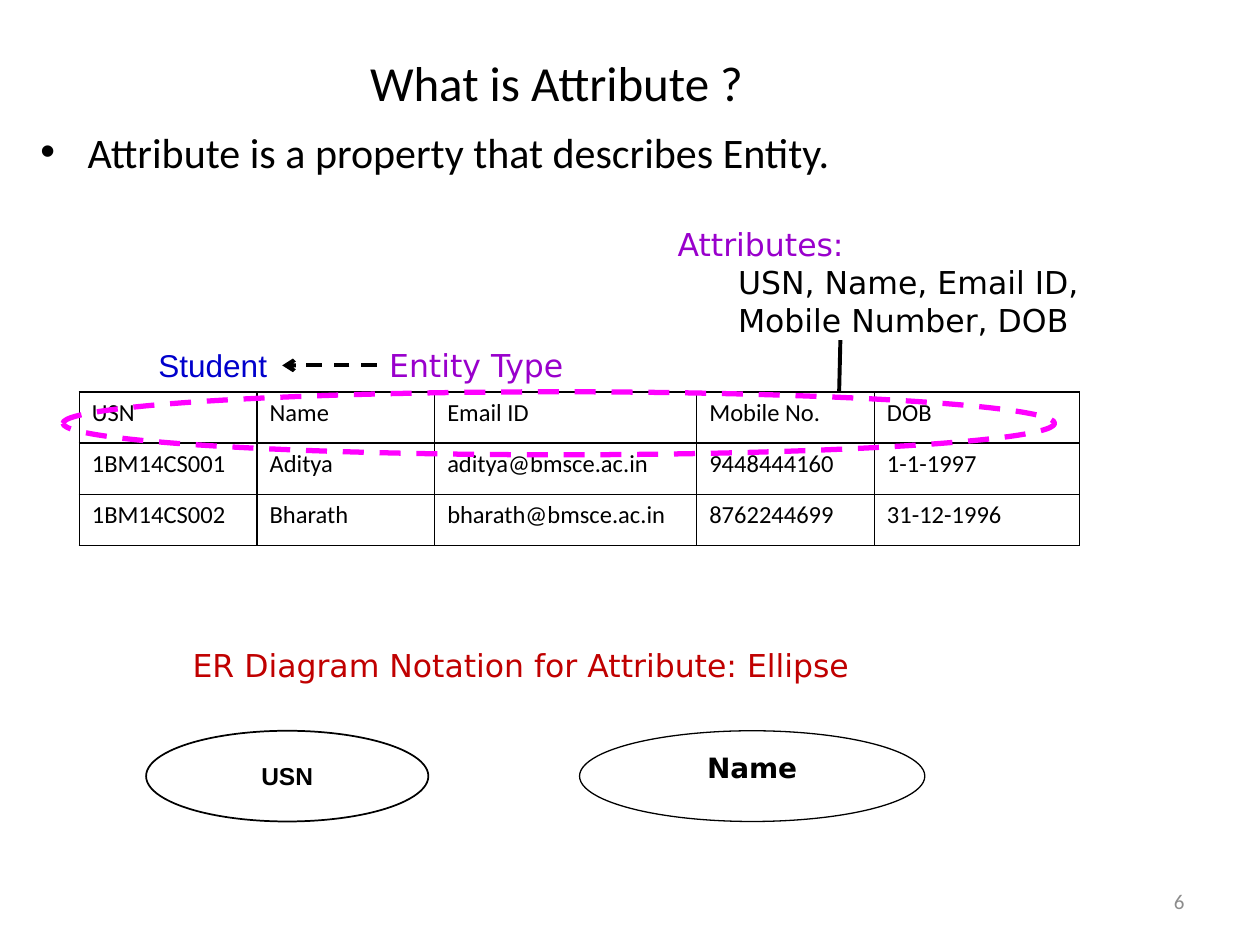
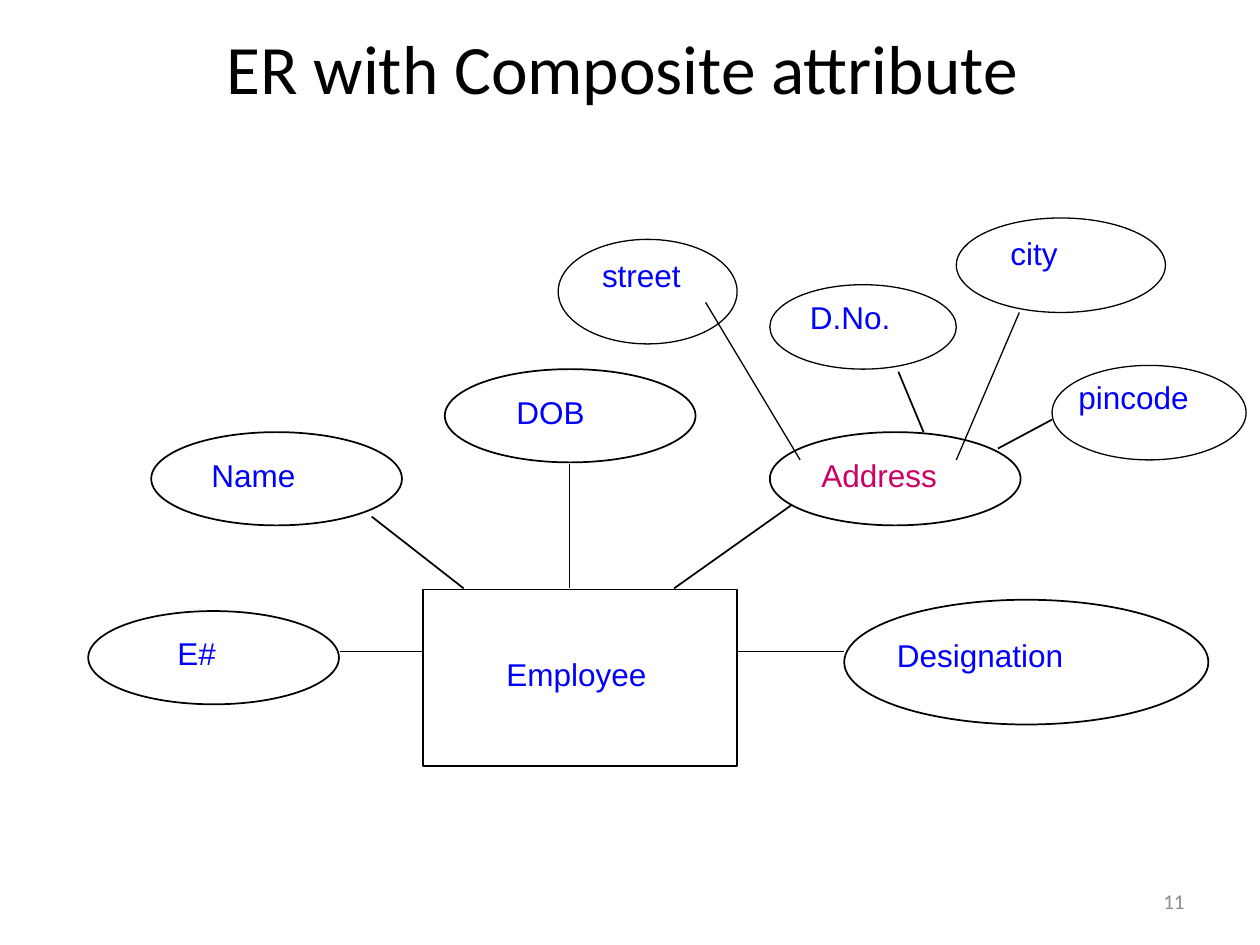
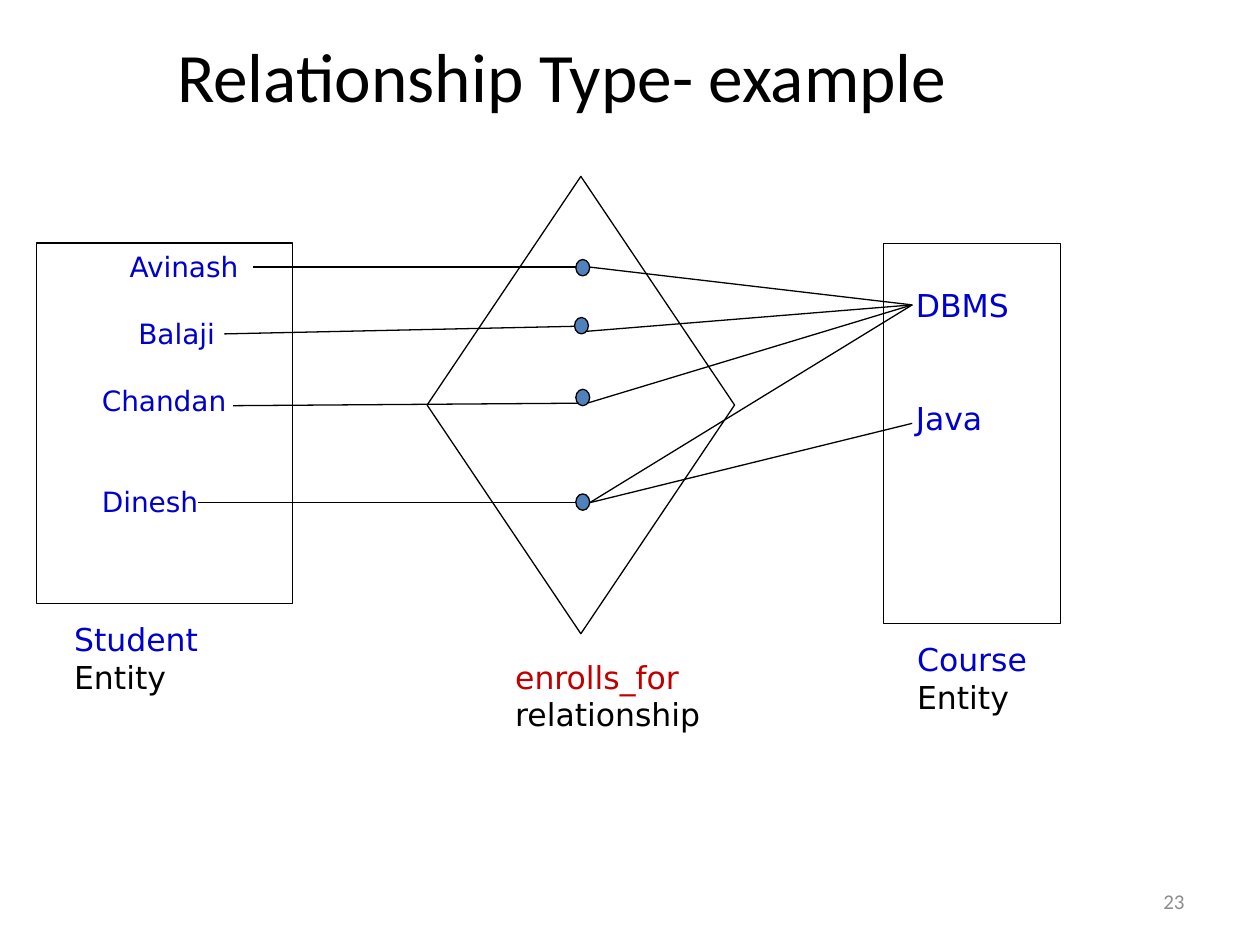
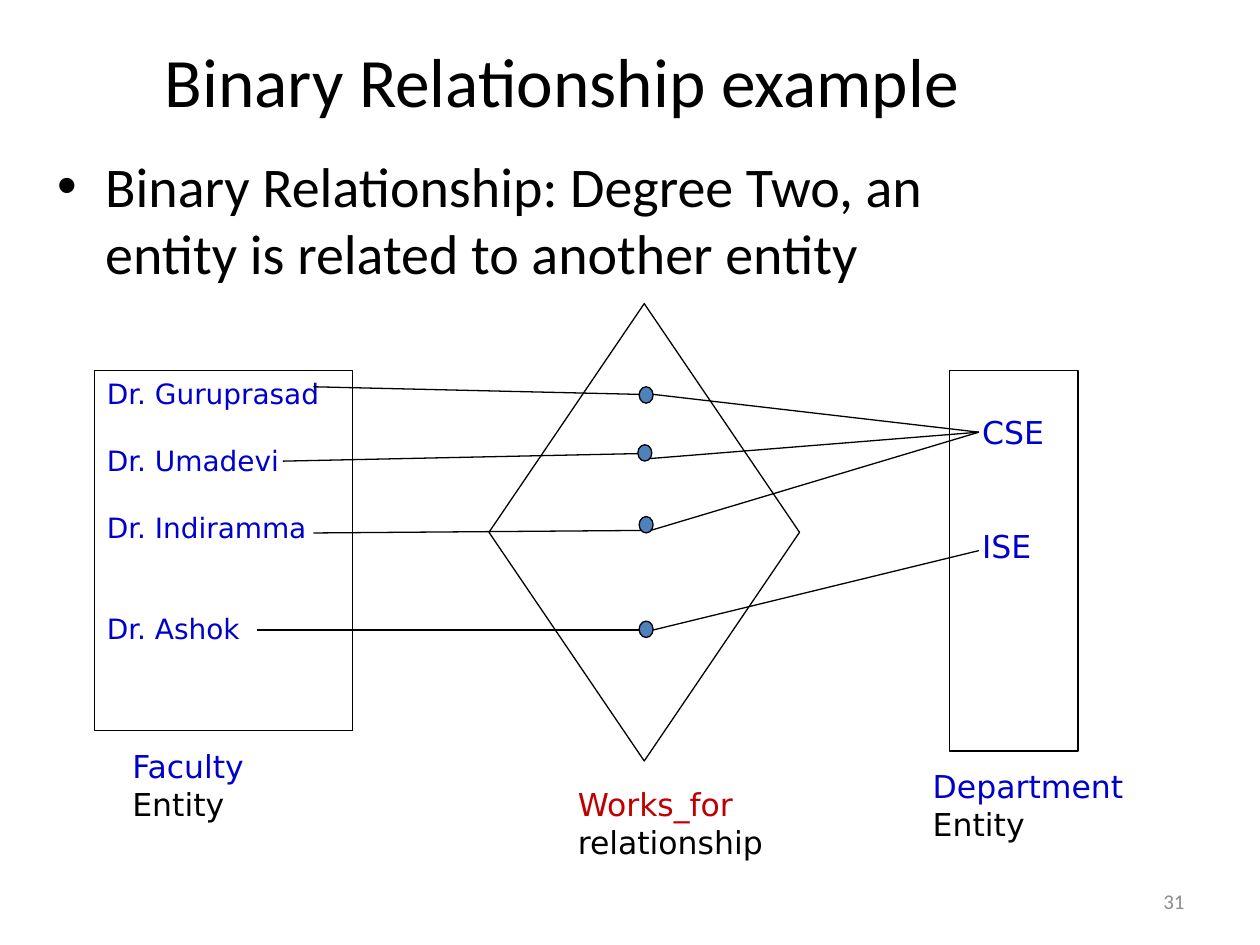
import pptx
import pptx.dml.color
import pptx.enum.dml
import pptx.enum.shapes
import pptx.enum.text
import pptx.oxml
import pptx.oxml.ns
import pptx.util
from lxml import etree

SHAPE = pptx.enum.shapes.MSO_SHAPE
ALIGN = pptx.enum.text.PP_ALIGN
ANCHOR = pptx.enum.text.MSO_ANCHOR
FIT = pptx.enum.text.MSO_AUTO_SIZE
DASH = pptx.enum.dml.MSO_LINE.DASH

COLORS = {
    "black": "000000", "white": "FFFFFF", "grey": "8C8C8C", "navy": "0000CC",
    "blue": "0000FF", "purple": "9900CC", "red": "C00000", "rose": "CC0066",
    "pink": "FF00FF", "steel": "4F81BD",
}
HEAD, SANS, WIDE = "Calibri", "Arial", "DejaVu Sans"
COLS, ROWS = 100, 75

deck = pptx.Presentation()
deck.slide_width = pptx.util.Inches(10)
deck.slide_height = pptx.util.Inches(7.5)


def tint(name):
    return pptx.dml.color.RGBColor.from_string(COLORS[name])


def sub(parent, tag, **attrs):
    return etree.SubElement(parent, pptx.oxml.ns.qn(tag), **attrs)


class Area:
    def __init__(self, slide, col=0, row=0, scale=1):
        self.slide, self.col, self.row, self.scale = slide, col, row, scale

    def spot(self, col, row):
        return (int((self.col + col * self.scale) * deck.slide_width / COLS),
                int((self.row + row) * deck.slide_height / ROWS))

    def box(self, col, row, wide, high):
        left, top = self.spot(col, row)
        right, base = self.spot(col + wide, row + high)
        return left, top, right - left, base - top

    def shape(self, kind, box, weight=0.75, line="black", fill=None):
        item = self.slide.shapes.add_shape(kind, *self.box(*box))
        item.shadow.inherit = False
        if fill:
            item.fill.solid()
            item.fill.fore_color.rgb = tint(fill)
        else:
            item.fill.background()
        item.line.color.rgb = tint(line)
        item.line.width = pptx.util.Pt(weight)
        return item

    def link(self, start, end, weight=0.75, arrow=False):
        item = self.slide.shapes.add_connector(
            pptx.enum.shapes.MSO_CONNECTOR.STRAIGHT, *self.spot(*start), *self.spot(*end))
        item.line.color.rgb = tint("black")
        item.line.width = pptx.util.Pt(weight)
        if arrow:
            item.line.dash_style = DASH
            sub(item.line._get_or_add_ln(), "a:tailEnd", type="arrow")
        sub(item._element.spPr, "a:effectLst")

    def text(self, box, lines, size=18, font=WIDE, wrap=False, **style):
        item = self.slide.shapes.add_textbox(*self.box(*box))
        item.text_frame.word_wrap = wrap
        write(item.text_frame, lines, size, font, **style)
        return item


def write(frame, lines, size, font, align=ALIGN.LEFT, anchor=ANCHOR.TOP, bold=False,
          gaps=(), dents=()):
    frame.text = "\n".join(words for words, _ in lines)
    frame.vertical_anchor = anchor
    for par, (_, color) in zip(frame.paragraphs, lines):
        par.alignment = align
        for run in par.runs:
            run.font.size = pptx.util.Pt(size)
            run.font.name = font
            run.font.bold = bold
            run.font.color.rgb = tint(color)
    for par, gap in zip(frame.paragraphs, gaps):
        par.space_before = pptx.util.Pt(gap)
    for par, dent in zip(frame.paragraphs, dents):
        props = par._p.get_or_add_pPr()
        props.set("marL", str(pptx.util.Inches(dent)))
        props.set("indent", "0")


def holder(area, item, box, words, size, **style):
    item.left, item.top, item.width, item.height = area.box(*box)
    item.text_frame.auto_size = FIT.NONE
    write(item.text_frame, [(words, "black")], size, HEAD, gaps=[0], **style)


def start(title, box, number, size=39.6, body=None):
    slide = deck.slides.add_slide(deck.slide_layouts[1 if body else 5])
    area = Area(slide)
    holder(area, slide.shapes.title, box, title, size, align=ALIGN.CENTER,
           anchor=ANCHOR.MIDDLE)
    if body:
        holder(area, slide.placeholders[1], *body)
    area.text((71.7, 69.5, 23.3, 4), [(str(number), "grey")], 12, HEAD, True,
              align=ALIGN.RIGHT, anchor=ANCHOR.MIDDLE)
    return slide


def border(cell):
    props = cell._tc.get_or_add_tcPr()
    for place, side in enumerate(("a:lnL", "a:lnR", "a:lnT", "a:lnB")):
        line = etree.Element(pptx.oxml.ns.qn(side), w=str(pptx.util.Pt(1)))
        sub(sub(line, "a:solidFill"), "a:srgbClr", val=COLORS["black"])
        props.insert(place, line)


def grid(area, data, widths, high):
    frame = area.slide.shapes.add_table(
        len(data), len(widths), *area.box(0, 0, sum(widths), high * len(data)))
    table = frame.table
    table.first_row = table.horz_banding = False
    for col, wide in zip(table.columns, widths):
        col.width = area.box(0, 0, wide, high)[2]
    for row, words in zip(table.rows, data):
        row.height = area.box(0, 0, 1, high)[3]
        for cell, word in zip(row.cells, words):
            write(cell.text_frame, [(word, "black")], 14, HEAD)
            cell.fill.solid()
            cell.fill.fore_color.rgb = tint("white")
            border(cell)


def student(area):
    grid(area, [
        ["USN", "Name", "Email ID", "Mobile No.", "DOB"],
        ["1BM14CS001", "Aditya", "aditya@bmsce.ac.in", "9448444160", "1-1-1997"],
        ["1BM14CS002", "Bharath", "bharath@bmsce.ac.in", "8762244699", "31-12-1996"],
    ], [14.1, 14.1, 20.8, 14.1, 16.3], 4.07)
    area.text((5.3, -4.1, 10.7, 4), [("Student", "navy")], font=SANS)
    area.link((23.6, -2.1), (16.1, -2.1), 2.25, True)
    area.text((23.6, -4.1, 16.2, 4), [("Entity Type", "purple")])
    ring = area.shape(SHAPE.OVAL, (-1.3, 0, 78.7, 5), 3, "pink")
    ring.line.dash_style = DASH
    area.link((60.4, -4.1), (60.3, 0), 2.25)
    area.text((46.5, -13.7, 36.4, 10.1), [
        ("Attributes:", "purple"), ("USN, Name, Email ID,", "black"),
        ("Mobile Number, DOB", "black")], dents=(0, 0.48, 0.48))


def notes(area):
    area.text((2.7, 0, 56.1, 4),
              [("ER Diagram Notation for Attribute: Ellipse", "red")])
    name = area.shape(SHAPE.OVAL, (34.4, 7.2, 27.4, 7.2))
    write(name.text_frame, [("Name", "black")], 16, WIDE, ALIGN.CENTER, bold=True)
    usn = area.shape(SHAPE.OVAL, (0, 7.2, 22.4, 7.2), 1)
    usn.text_frame.word_wrap = False
    write(usn.text_frame, [("USN", "black")], 14, SANS, ALIGN.CENTER, ANCHOR.MIDDLE, True)


def tree(area):
    wide, high = 19.9, 7.4
    nodes = [
        ("Employee", (26.6, 29.5, 24.9, 14), (5.6, 4.7, 16.8), 1),
        ("Name", (5, 17, wide, high), (3.8, 1.4, 10.9), 1),
        ("E#", (0, 31.2, wide, high), (6.1, 1.3, 6.1), 1),
        ("Designation", (60, 30.3, 28.9, 9.9), (3.2, 2.4, 22.3), 1),
        ("DOB", (28.3, 12, wide, high), (4.7, 1.4, 9.2), 1),
        ("Address", (54.1, 17, wide, high), (3.1, 1.4, 14.2), 1),
        ("street", (37.3, 1.7, 14.2, 8.3), (2.5, 0.8, 11.7), 0.75),
        ("pincode", (76.5, 11.7, 15.4, 7.5), (1.1, 0.5, 15.8), 0.75),
        ("city", (68.9, 0, 16.6, 7.5), (3.3, 0.8, 15.8), 0.75),
        ("D.No.", (54.1, 5.3, 14.8, 6.7), (2.2, 0.6, 11.6), 0.75),
    ]
    for word, box, (right, down, span), weight in nodes:
        kind = SHAPE.RECTANGLE if word == "Employee" else SHAPE.OVAL
        area.shape(kind, box, weight)
        color = "rose" if word == "Address" else "blue"
        area.text((box[0] + right, box[1] + down, span, 5), [(word, color)],
                  font=SANS, wrap=True)
    for first, last, weight in [
        ((20, 34.4), (26.5, 34.4), 1), ((22.5, 23.7), (29.8, 29.4), 1),
        ((38.2, 19.5), (38.2, 29.4), 1), ((55.8, 22.8), (46.5, 29.4), 1),
        ((60, 34.4), (51.5, 34.4), 1), ((72.2, 18.3), (76.5, 16), 1),
        ((66.3, 17), (64.3, 12.2), 1), ((49, 6.7), (56.5, 19.2), 0.75),
        ((73.9, 7.5), (68.9, 19.2), 0.75),
    ]:
        area.link(first, last, weight)


def relate(area, names, dents, goals, labels, wide, label, starts, pairs):
    left = area.shape(SHAPE.RECTANGLE, (0, 5.3, 20.3, 28.6))
    write(left.text_frame, [(name, "navy") for name in names], 16, WIDE,
          gaps=(0, 19.2, 19.2, 38.5), dents=dents)
    area.shape(SHAPE.DIAMOND, (31, 0, 24.4, 36.3))
    right = area.shape(SHAPE.RECTANGLE, (67.2, 5.3, wide, 30.2))
    right.text_frame.margin_top = pptx.util.Inches(0.34)
    write(right.text_frame, [(goal, "navy") for goal in goals], 18, WIDE,
          gaps=(0, 43.2), dents=(0.16, 0.16))
    spots = [(37, 37.7, 17.5), (2, 34.7, 13), (label, 36.3, 18)]
    tails = ("relationship", "Entity", "Entity")
    for (col, row, span), word, tail, color in zip(
            spots, labels, tails, ("red", "navy", "navy")):
        area.text((col, row, span, 7.1), [(word, color), (tail, "black")], wrap=True)

    dots = [(42.8, 6.6), (42.7, 11.2), (42.8, 16.9), (42.8, 25.2)]
    ends = [(42.8, 7.2), (42.7, 11.9), (43, 18), (42.8, 25.9)]
    exits = [(43.9, 7.2), (43.6, 12.3), (43.7, 18), (43.9, 25.9)]
    stops = [(69.5, 10.2), (69.5, 19.6)]
    for dot, first, last in zip(dots, starts, ends):
        area.shape(SHAPE.OVAL, (*dot, 1.1, 1.3), fill="steel")
        area.link(first, last)
    for source, goal in pairs:
        area.link(exits[source], stops[goal])


def main():
    slide = start("What is Attribute ? ", (5, 3.5, 79.2, 6), 6, 28,
                  ((2.2, 9.5, 83.5, 62.6),
                   "Attribute is a property that describes Entity.", 24))
    student(Area(slide, 6.3, 31.1))
    notes(Area(slide, 11.6, 50.8))

    slide = start("ER with Composite attribute", (2.5, 2.5, 93.8, 5.6), 11)
    tree(Area(slide, 7, 17.3))

    slide = start("Relationship Type- example", (5, 3.5, 79.2, 4.8), 23)
    relate(Area(slide, 2.9, 14), ["Avinash", "Balaji", "Chandan", "Dinesh"],
           (0.64, 0.71, 0.42, 0.42), ["DBMS", "Java"],
           ["enrolls_for", "Student", "Course"], 14.1, 68.9,
           [(17.2, 7.2), (14.9, 12.5), (15.6, 18.2), (12.8, 25.9)],
           [(0, 0), (1, 0), (2, 0), (3, 1), (3, 0)])

    slide = start("Binary Relationship example", (5, 3.5, 79.2, 5.7), 31, body=(
        (3.6, 11.5, 79.2, 53),
        "Binary Relationship: Degree Two, an entity is related to another entity", 32))
    relate(Area(slide, 7.5, 24.1, 1.01),
           ["Dr. Guruprasad", "Dr. Umadevi", "Dr. Indiramma", "Dr. Ashok"],
           (0, 0, 0, 0), ["CSE", "ISE"],
           ["Works_for", "Faculty", "Department"], 10.1, 64.9,
           [(17.2, 6.6), (14.8, 12.5), (17.2, 18.2), (12.8, 25.9)],
           [(0, 0), (1, 0), (2, 0), (3, 1)])
    deck.save("out.pptx")


if __name__ == "__main__":
    main()
